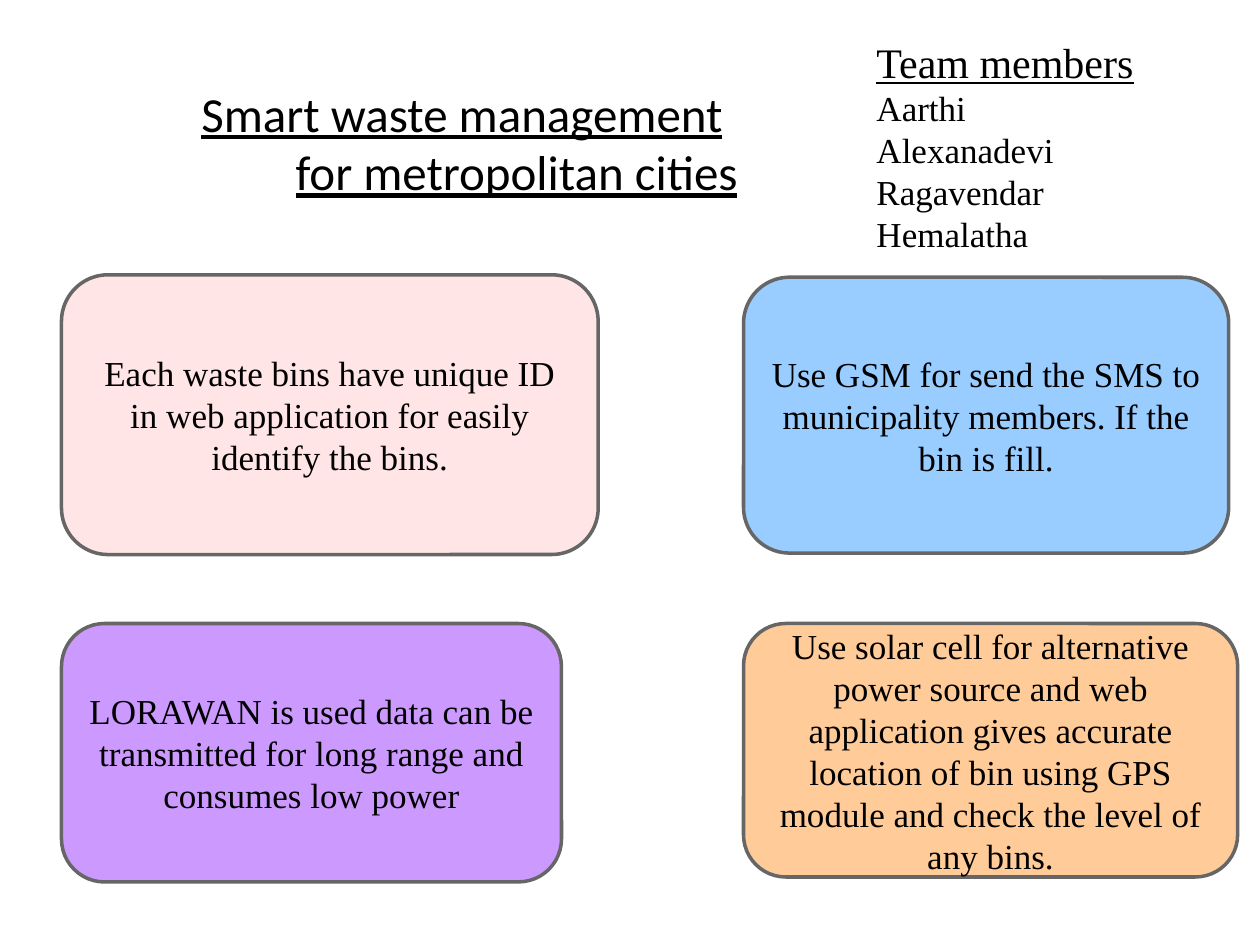
from pptx import Presentation
from pptx.dml.color import RGBColor
from pptx.enum.shapes import MSO_SHAPE
from pptx.enum.text import MSO_ANCHOR, PP_ALIGN
from pptx.util import Cm, Pt

SERIF = "Times New Roman"
LEFT, RIGHT = 1.24, 14.99
UPPER, LOWER = 5.54, 12.57


def paint(target, code):
    """Set a hex colour on a fill, or on the fill of a font or line."""
    target.solid()
    target.fore_color.rgb = RGBColor.from_string(code)


def style(para, size, face=SERIF, under=False):
    """Format every run of a paragraph."""
    for run in para.runs:
        font = run.font
        font.name, font.size, font.underline = face, Pt(size), under
        paint(font.fill, "000000")


def label(slide, box):
    """Add an empty wrapping text box and return its frame."""
    frame = slide.shapes.add_textbox(*map(Cm, box)).text_frame
    frame.word_wrap = True
    return frame


def title(slide, box):
    """Place the heading, its second line indented."""
    frame = label(slide, box)
    frame.margin_right = Cm(1.5)
    frame.text = "Smart waste management for metropolitan cities"
    para = frame.paragraphs[0]
    style(para, 28, "Calibri", True)
    props = para._p.get_or_add_pPr()
    props.set("marL", str(Cm(1.9)))
    props.set("indent", str(-Cm(1.9)))


def team(slide, box, names):
    """Place the team heading with its names below."""
    frame = label(slide, box)
    frame.text = "\n".join(["Team members", *names])
    head, *rest = frame.paragraphs
    style(head, 24, under=True)
    for para in rest:
        style(para, 20)


def card(slide, box, tint, text):
    """Place one rounded card with centred text."""
    shape = slide.shapes.add_shape(MSO_SHAPE.ROUNDED_RECTANGLE, *map(Cm, box))
    shape.shadow.inherit = False
    paint(shape.fill, tint)
    paint(shape.line.fill, "666666")
    shape.line.width = Pt(2)
    frame = shape.text_frame
    frame.word_wrap = True
    frame.vertical_anchor = MSO_ANCHOR.MIDDLE
    frame.text = text
    para = frame.paragraphs[0]
    para.alignment = PP_ALIGN.CENTER
    style(para, 20)


CARDS = [
    ((LEFT, UPPER, 10.82, 5.64), "FFE5E5",
     "Each waste bins have unique ID in web application for easily "
     "identify the bins."),
    ((RIGHT, UPPER + 0.05, 9.78, 5.56), "99CCFF",
     "Use GSM for send the SMS to municipality members. If the bin is fill."),
    ((RIGHT, LOWER, 9.96, 5.11), "FFCC99",
     "Use solar cell for alternative power source and web application gives "
     "accurate location of bin using GPS module and check the level of any "
     "bins."),
    ((LEFT, LOWER, 10.08, 5.21), "CC99FF",
     "LORAWAN is used data can be transmitted for long range and consumes "
     "low power"),
]

deck = Presentation()
deck.slide_width, deck.slide_height = Cm(25.4), Cm(19.05)
page = deck.slides.add_slide(deck.slide_layouts[6])
paint(page.background.fill, "FFFFFF")
for box, tint, text in CARDS:
    card(page, box, tint, text)
title(page, (3.81, 1.55, 12.67, 2.59))
team(page, (17.42, 0.61, 7.98, 6.4),
     ["Aarthi", "Alexanadevi", "Ragavendar", "Hemalatha"])
deck.save("out.pptx")
